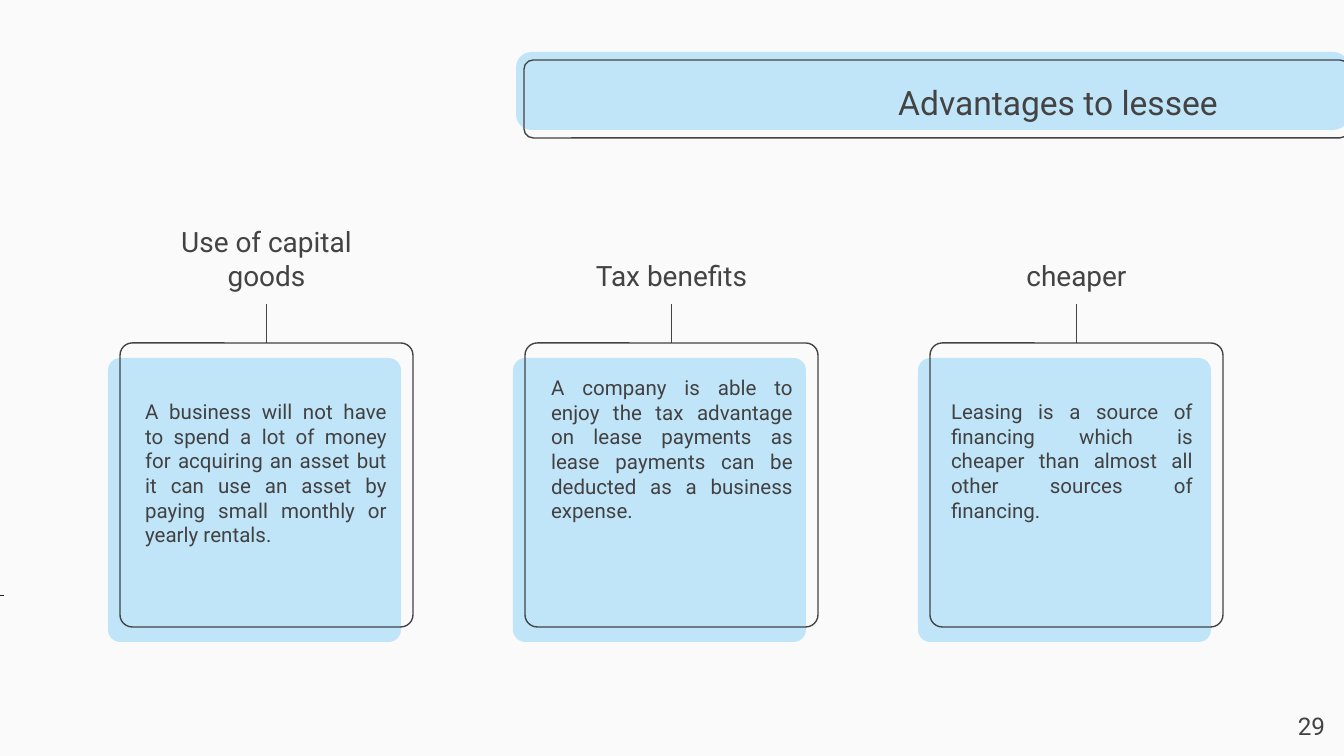
from pptx import Presentation
from pptx.dml.color import RGBColor
from pptx.enum.shapes import MSO_CONNECTOR, MSO_SHAPE
from pptx.enum.text import MSO_ANCHOR, MSO_AUTO_SIZE, PP_ALIGN
from pptx.oxml.ns import qn
from pptx.util import Pt
from lxml.etree import SubElement

PX = 914400 / 134.4
FONT = "Roboto"
COLORS = {"paper": "FAFAFA", "sky": "C1E5F8", "ink": "434343",
          "body": "424142", "tick": "1F1F1F"}
CARD_LEFT, CARD_TOP, CARD_PITCH = 108, 358, 405
CARD_WIDTH, CARD_HEIGHT = 293, 284
CARDS = [
    ("Use of capital goods",
     "A business will not have to spend a lot of money for acquiring an asset "
     "but it can use an asset by paying small monthly or yearly rentals.", 24, 28),
    ("Tax benefits",
     "A company is able to enjoy the tax advantage on lease payments as lease "
     "payments can be deducted as a business expense.", 25, 4),
    ("cheaper",
     "Leasing is a source of financing which is cheaper than almost all other "
     "sources of financing.", 20, 28),
]


def color(key):
    """Return the named palette colour."""
    return RGBColor.from_string(COLORS[key])


def emu(*lengths):
    """Turn pixel lengths into EMU."""
    return [round(length * PX) for length in lengths]


def add_panel(slide, box, radius, fill=None):
    """Add a rounded panel, filled or outlined only."""
    panel = slide.shapes.add_shape(MSO_SHAPE.ROUNDED_RECTANGLE, *emu(*box))
    panel.adjustments[0] = radius
    panel.shadow.inherit = False
    if fill:
        panel.fill.solid()
        panel.fill.fore_color.rgb = color(fill)
        panel.line.fill.background()
    else:
        panel.fill.background()
        panel.line.color.rgb = color("ink")
        panel.line.width = Pt(0.75)


def add_rule(slide, ends, ink="ink", width=0.75):
    """Add a straight line without a shadow."""
    rule = slide.shapes.add_connector(MSO_CONNECTOR.STRAIGHT, *emu(*ends))
    rule.line.color.rgb = color(ink)
    rule.line.width = Pt(width)
    SubElement(rule._element.spPr, qn("a:effectLst"))


def write(holder, words, size, align, anchor=MSO_ANCHOR.TOP, ink="ink"):
    """Write one formatted paragraph into a text holder."""
    frame = holder.text_frame
    frame.text = words
    frame.word_wrap = True
    frame.auto_size = MSO_AUTO_SIZE.NONE
    frame.vertical_anchor = anchor
    frame.margin_left, frame.margin_top, frame.margin_right, frame.margin_bottom = emu(13, 13, 13, 13)
    paragraph = frame.paragraphs[0]
    paragraph.alignment = align
    paragraph.font.name = FONT
    paragraph.font.size = Pt(size)
    paragraph.font.color.rgb = color(ink)


def add_banner(slide, left, top, width, height):
    """Draw the title banner that runs off the right edge."""
    add_panel(slide, (left, top, width, height), 0.199, "sky")
    add_panel(slide, (left + 8, top + 8, width - 8, height), 0.119)
    title = slide.shapes.title
    title.left, title.top, title.width, title.height = emu(left + 246, top + 15, 469, 71)
    write(title, "Advantages to lessee", 18, PP_ALIGN.RIGHT, MSO_ANCHOR.MIDDLE)
    slide.shapes._spTree.append(title._element)


def add_card(slide, left, top, width, height, heading, body, body_dx, body_dy):
    """Draw one advantage: heading, stem, offset panels and body text."""
    frame_left, frame_top = left + 12, top - 15
    center = frame_left + width / 2
    add_panel(slide, (left, top, width, height), 0.043, "sky")
    add_panel(slide, (frame_left, frame_top, width, height), 0.043)
    add_rule(slide, (center, frame_top - 39, center, frame_top))
    heading_box = slide.shapes.add_textbox(*emu(center - 105, frame_top - 155, 210, 117))
    write(heading_box, heading, 15, PP_ALIGN.CENTER, MSO_ANCHOR.BOTTOM)
    body_box = slide.shapes.add_textbox(*emu(left + body_dx, top + body_dy, 268, 246))
    write(body_box, body, 11, PP_ALIGN.JUSTIFY, ink="body")


def add_page_number(slide, left, top, width, height):
    """Write the page number in its corner box."""
    number = slide.shapes.add_textbox(*emu(left, top, width, height))
    write(number, "29", 13, PP_ALIGN.RIGHT)


def build():
    """Build and save the slide."""
    deck = Presentation()
    deck.slide_width, deck.slide_height = emu(1344, 756)
    slide = deck.slides.add_slide(deck.slide_layouts[5])
    slide.background.fill.solid()
    slide.background.fill.fore_color.rgb = color("paper")
    add_banner(slide, 516, 52, 833, 78)
    add_rule(slide, (0, 595, 4, 595), "tick", 0.3)
    for index, card in enumerate(CARDS):
        add_card(slide, CARD_LEFT + index * CARD_PITCH, CARD_TOP,
                 CARD_WIDTH, CARD_HEIGHT, *card)
    add_page_number(slide, 1258, 698, 80, 58)
    deck.save("out.pptx")


build()
